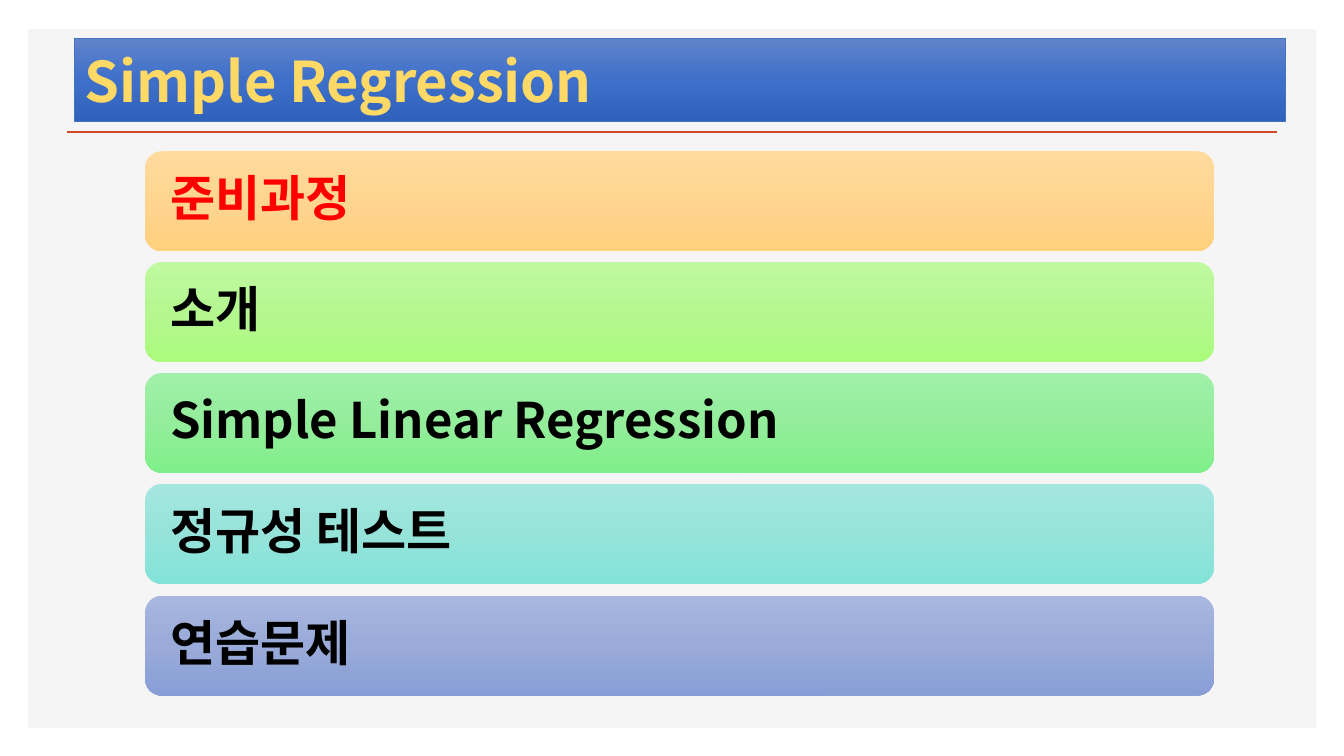
from copy import deepcopy
from dataclasses import dataclass

from lxml import etree
from pptx import Presentation
from pptx import util as u
from pptx.dml.color import RGBColor
from pptx.enum import shapes, text
from pptx.oxml.ns import qn

PX = 9144  # EMU per px, 100 px to the inch


@dataclass(frozen=True)
class Theme:
    font: str = "Noto Sans CJK KR"
    panel: str = "F5F5F5"
    rule: str = "D24726"
    edge: str = "4472C4"
    head: str = "FFD966"
    ink: str = "000000"
    accent: str = "FF0000"
    banner: tuple = ("6183CB", "3E70CA", "3062BB")
    bars: tuple = (
        ("FFDB9E", "FFD590", "FFD07C"),
        ("C0F99F", "B5F791", "ABFB7D"),
        ("A1F0A9", "93ED9B", "7FEF89"),
        ("A4E7E0", "96E3DA", "82E3D9"),
        ("A8B7DF", "9AABD9", "889ED7"),
    )
    head_size: int = 40
    bar_size: int = 35


class Deck:
    def __init__(self, theme):
        self.theme = theme
        self.prs = Presentation()
        self.prs.slide_width = u.Inches(13.33)
        self.prs.slide_height = u.Inches(7.5)
        self.slide = self.prs.slides.add_slide(self.prs.slide_layouts[5])

    def place(self, shape, box):
        shape.left, shape.top, shape.width, shape.height = (n * PX for n in box)

    def blend(self, shape, colors):
        """Fill with an even gradient from top to bottom."""
        shape.fill.gradient()
        shape.fill.gradient_angle = 270
        stops = shape._element.spPr.find(".//" + qn("a:gsLst"))
        stops.insert(1, deepcopy(stops[0]))
        for i, (stop, color) in enumerate(zip(shape.fill.gradient_stops, colors)):
            stop.position = i / 2
            stop.color.rgb = RGBColor.from_string(color)

    def label(self, shape, words, size, color):
        frame = shape.text_frame
        frame.text = words
        frame.word_wrap = True
        frame.auto_size = text.MSO_AUTO_SIZE.NONE
        frame.vertical_anchor = text.MSO_ANCHOR.MIDDLE
        para = frame.paragraphs[0]
        para.alignment = text.PP_ALIGN.LEFT
        font = para.runs[0].font
        font.name, font.size, font.bold = self.theme.font, u.Pt(size), True
        font.color.rgb = RGBColor.from_string(color)
        east = etree.SubElement(font._element, qn("a:ea"))
        east.set("typeface", self.theme.font)
        return frame

    def shape(self, kind, box):
        item = self.slide.shapes.add_shape(kind, *(n * PX for n in box))
        item.shadow.inherit = False
        item.line.fill.background()
        return item

    def panel(self, box):
        item = self.shape(shapes.MSO_SHAPE.RECTANGLE, box)
        item.fill.solid()
        item.fill.fore_color.rgb = RGBColor.from_string(self.theme.panel)

    def rule(self, left, right, top):
        line = self.slide.shapes.add_connector(
            shapes.MSO_CONNECTOR.STRAIGHT, left * PX, top * PX, right * PX, top * PX)
        line.line.color.rgb = RGBColor.from_string(self.theme.rule)
        line.line.width = u.Pt(2)
        etree.SubElement(line._element.spPr, qn("a:effectLst"))

    def title(self, words, box):
        """Format the title placeholder and bring it to the front."""
        item = self.slide.shapes.title
        self.slide.shapes._spTree.append(item._element)
        self.place(item, box)
        self.blend(item, self.theme.banner)
        item.line.color.rgb = RGBColor.from_string(self.theme.edge)
        item.line.width = u.Pt(0.5)
        self.label(item, words, self.theme.head_size, self.theme.head)

    def bar(self, words, box, colors, ink):
        item = self.shape(shapes.MSO_SHAPE.ROUNDED_RECTANGLE, box)
        self.blend(item, colors)
        frame = self.label(item, words, self.theme.bar_size, ink)
        frame.margin_left = frame.margin_right = 20 * PX
        para = frame.paragraphs[0]
        para.line_spacing = 0.9
        para.space_after = u.Pt(12)


def main():
    theme = Theme()
    deck = Deck(theme)
    deck.panel((28, 29, 1278, 693))
    deck.rule(66, 1267, 131)
    deck.title("Simple Regression", (74, 38, 1201, 82))
    topics = ("준비과정", "소개", "Simple Linear Regression", "정규성 테스트", "연습문제")
    first, last = 150, 591
    for i, (topic, colors) in enumerate(zip(topics, theme.bars)):
        top = first + i * (last - first) // (len(topics) - 1)
        ink = theme.ink if i else theme.accent
        deck.bar(topic, (144, top, 1060, 99), colors, ink)
    deck.prs.save("out.pptx")


if __name__ == "__main__":
    main()
